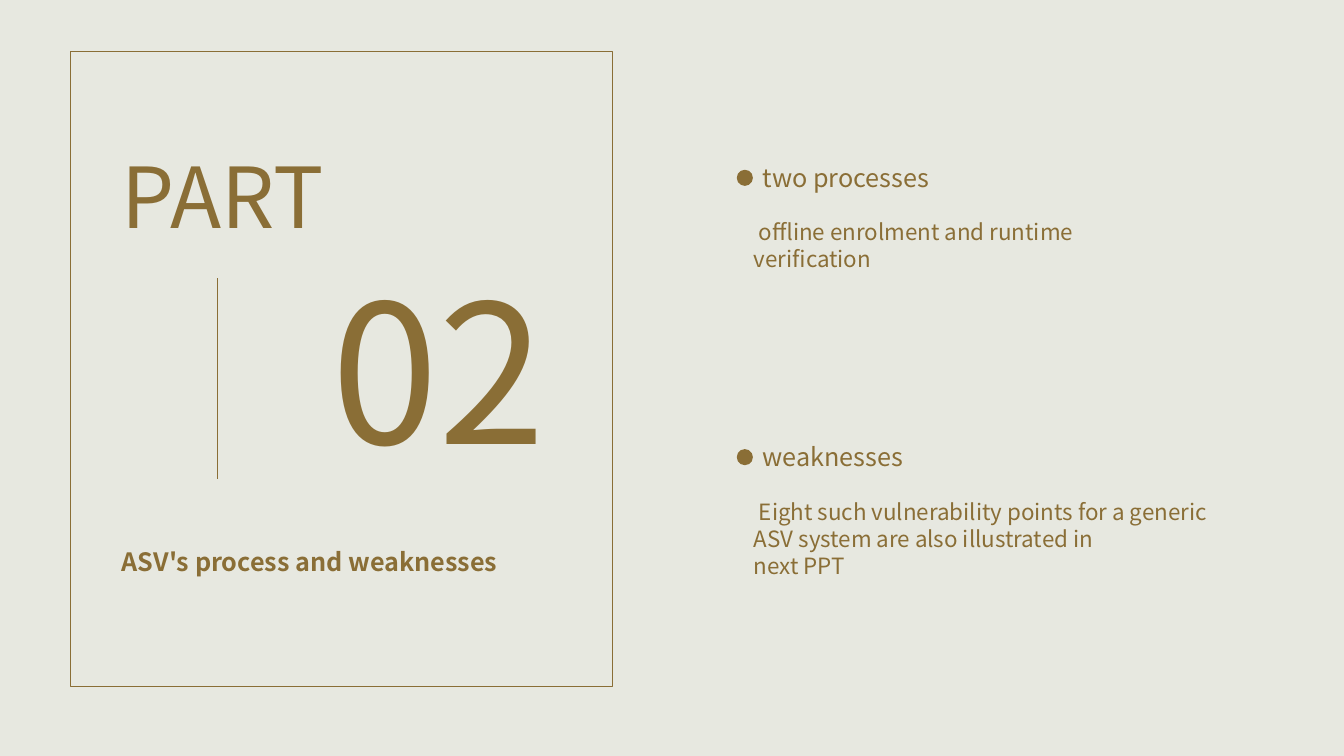
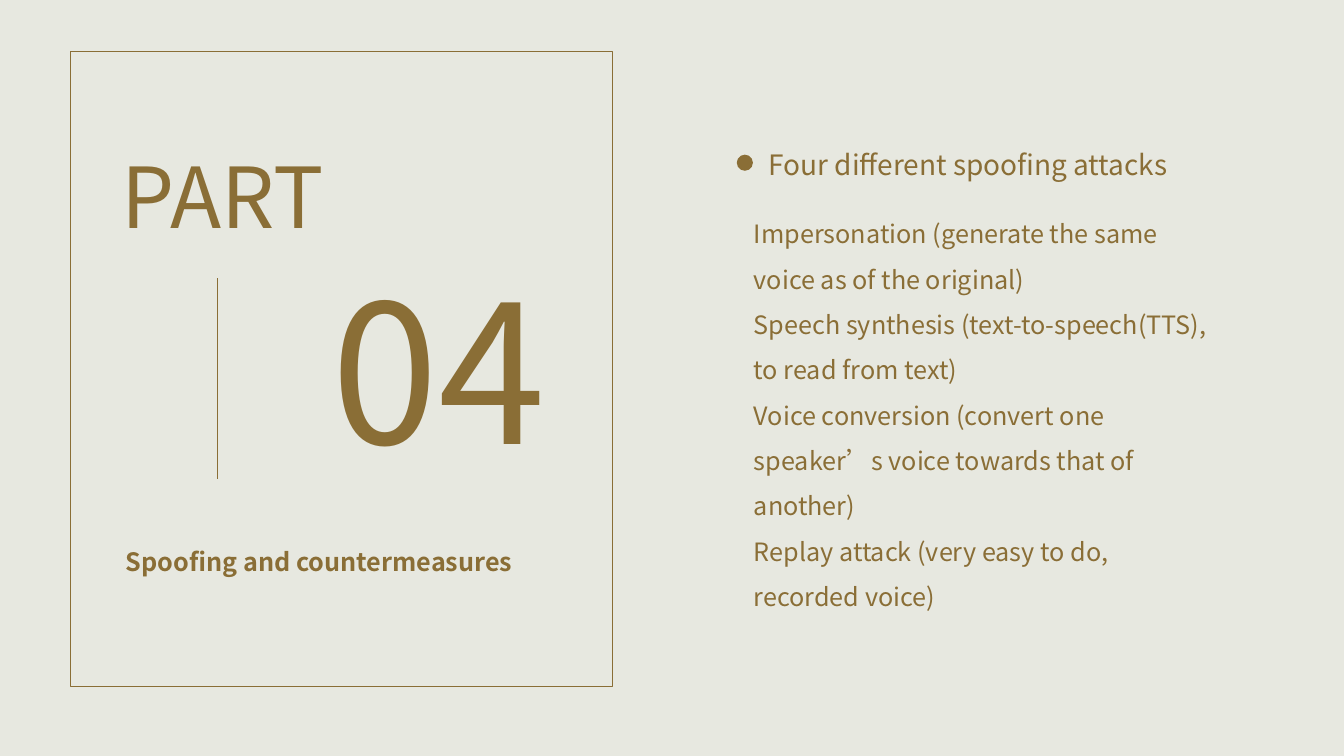
from pptx import Presentation
from pptx.dml.color import RGBColor
from pptx.enum import shapes
from pptx.oxml.xmlchemy import OxmlElement
from pptx.util import Pt

BROWN = RGBColor(0x8A, 0x6E, 0x36)
PAPER = RGBColor(0xE7, 0xE8, 0xE0)
FONT = "Noto Sans CJK SC"

DOT_SIZE = 11.5
DOT_LEFT = 526.3
BODY_LEFT = 531.4
HEADING_LEFT = 537.8
BODY_OFFSET = 40.3  # from the top of a heading to its body


def add_text(slide, box, lines, size, bold=False, spacing=None, indent=0):
    """Add one wrapped text box with a paragraph for each line."""
    frame = slide.shapes.add_textbox(*map(Pt, box)).text_frame
    frame.word_wrap = True
    for index, line in enumerate(lines):
        paragraph = frame.paragraphs[0] if index == 0 else frame.add_paragraph()
        paragraph.text = line
        paragraph.line_spacing = spacing
        paragraph.font.name = FONT
        paragraph.font.size = Pt(size)
        paragraph.font.bold = bold
        paragraph.font.color.rgb = BROWN
        if indent and index == 0:
            properties = paragraph._p.get_or_add_pPr()
            properties.set("marL", "0")
            properties.set("indent", str(Pt(indent)))


def add_frame(slide, box):
    """Add an outlined, unfilled rectangle."""
    shape = slide.shapes.add_shape(shapes.MSO_SHAPE.RECTANGLE, *map(Pt, box))
    shape.shadow.inherit = False
    shape.fill.background()
    shape.line.color.rgb = BROWN
    shape.line.width = Pt(0.75)


def add_dot(slide, left, top):
    """Add a round heading marker."""
    shape = slide.shapes.add_shape(
        shapes.MSO_SHAPE.OVAL, Pt(left), Pt(top), Pt(DOT_SIZE), Pt(DOT_SIZE))
    shape.shadow.inherit = False
    shape.fill.solid()
    shape.fill.fore_color.rgb = BROWN
    shape.line.fill.background()


def add_rule(slide, x, top, bottom):
    """Add a thin vertical line."""
    rule = slide.shapes.add_connector(
        shapes.MSO_CONNECTOR.STRAIGHT, Pt(x), Pt(top), Pt(x), Pt(bottom))
    rule.line.color.rgb = BROWN
    rule.line.width = Pt(0.5)
    rule._element.spPr.append(OxmlElement("a:effectLst"))


def add_section_slide(presentation, number, title, title_indent=0):
    """Add a slide with the framed part number and title on the left."""
    slide = presentation.slides.add_slide(presentation.slide_layouts[6])
    add_frame(slide, (50.4, 36.7, 387.4, 453.6))
    add_text(slide, (79.9, 99.4, 170, 80), ["PART"], 60)
    add_text(slide, (229.7, 175.7, 229, 174.2), [number], 138)
    add_rule(slide, 155.5, 198.7, 342)
    add_text(slide, (79.9, 386.6, 320, 28.8), [title], 18, bold=True,
             indent=title_indent)
    return slide


def add_topic(slide, top, heading, heading_size, body, body_size, body_box,
              heading_indent=0, body_indent=0, spacing=None):
    """Add a dotted heading with its body text below."""
    add_text(slide, (HEADING_LEFT, top, 336, heading_size * 1.6), [heading],
             heading_size, indent=heading_indent)
    add_dot(slide, DOT_LEFT, top + 9)
    add_text(slide, (BODY_LEFT, top + BODY_OFFSET, *body_box), body, body_size,
             spacing=spacing, indent=body_indent)


def main():
    presentation = Presentation()
    presentation.slide_width, presentation.slide_height = Pt(960), Pt(540)

    # Shared background
    background = presentation.slide_master.background.fill
    background.solid()
    background.fore_color.rgb = PAPER

    # Part 02
    slide = add_section_slide(presentation, "02", "ASV's process and weaknesses")
    add_topic(slide, 112.3, "two processes", 18,
              ["offline enrolment and runtime verification"],
              16, (303.8, 46), body_indent=3.6)
    add_topic(slide, 311.8, "weaknesses", 18,
              ["Eight such vulnerability points for a generic ASV system "
               "are also illustrated in", "next PPT"],
              16, (342.7, 65.5), body_indent=3.6)

    # Part 04
    slide = add_section_slide(presentation, "04", "Spoofing and countermeasures",
                              title_indent=3)
    add_topic(slide, 101.5, "Four different spoofing attacks", 20,
              ["Impersonation (generate the same voice as of the original)",
               "Speech synthesis (text-to-speech(TTS), to read from text)",
               "Voice conversion (convert one speaker’s voice towards that of another)",
               "Replay attack (very easy to do, recorded voice)"],
              18, (342.7, 321), heading_indent=4, spacing=1.5)

    presentation.save("out.pptx")


if __name__ == "__main__":
    main()
